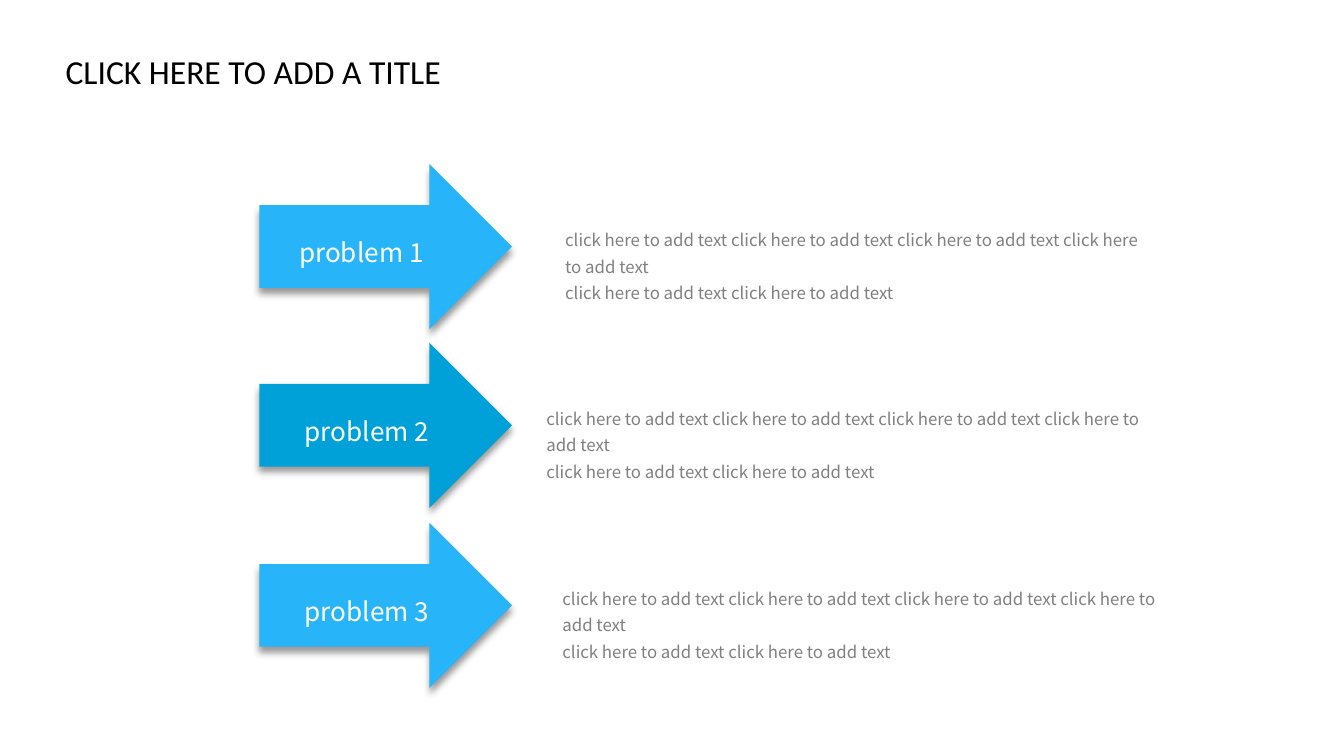
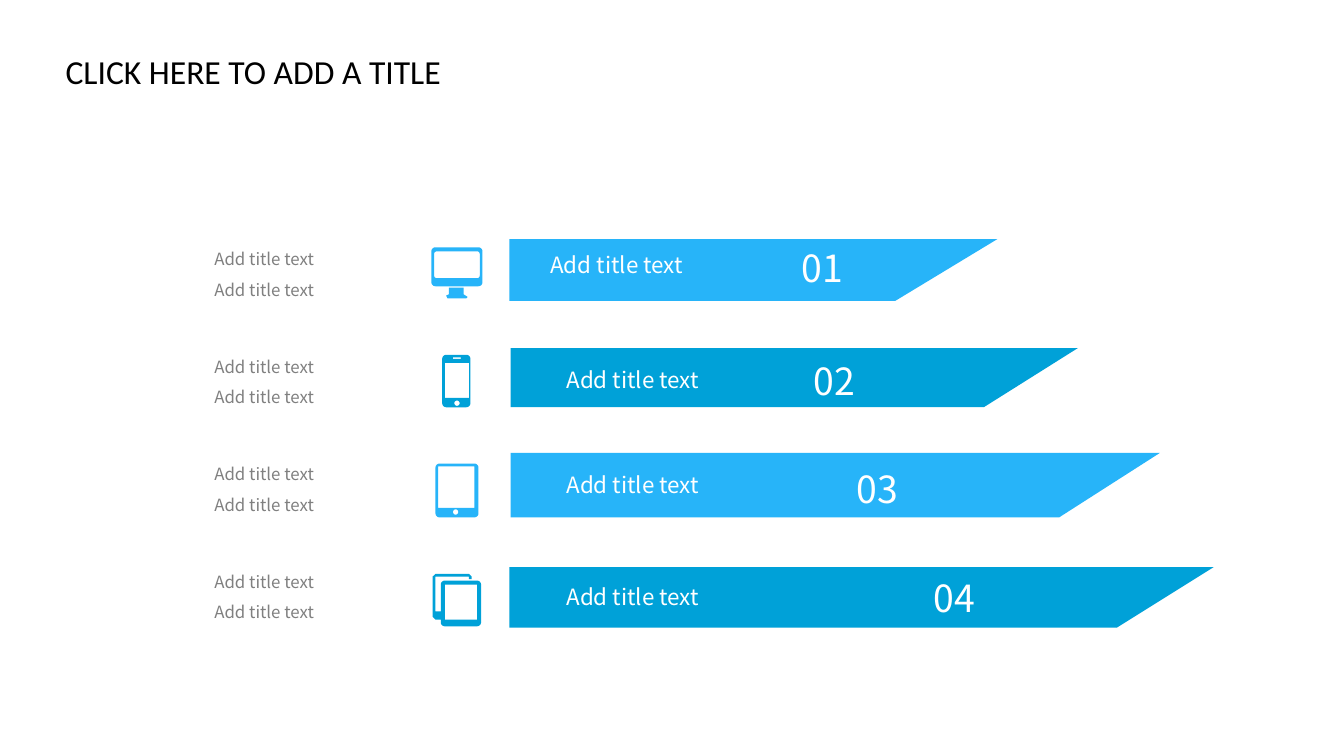
"""Build two slides: three problem arrows and four numbered ribbons with device icons."""
from math import cos, pi, sin

from lxml.etree import SubElement
from pptx import Presentation
from pptx.dml.color import RGBColor
from pptx.enum.shapes import MSO_SHAPE as Shape
from pptx.enum.text import MSO_AUTO_SIZE as AutoSize, PP_ALIGN as Align
from pptx.oxml.ns import qn
from pptx.util import Inches, Pt

COLOURS = {
    "sky": "27B4F9",
    "ocean": "00A1D8",
    "grey": "808080",
    "white": "FFFFFF",
    "black": "000000",
}
BODY_FONT = "Noto Sans CJK SC"
STYLES = {
    "title": {"name": "Calibri", "size": Pt(18), "colour": "black"},
    "problem": {"name": BODY_FONT, "size": Pt(14), "colour": "white"},
    "detail": {"name": BODY_FONT, "size": Pt(9), "colour": "grey"},
    "ribbon": {"name": BODY_FONT, "size": Pt(12), "colour": "white"},
    "number": {"name": BODY_FONT, "size": Pt(20), "colour": "white"},
}
PARAGRAPHS = {
    "problem": {"line_spacing": 1.3},
    "detail": {"line_spacing": 1.3},
    "caption": {"line_spacing": 1.5, "alignment": Align.CENTER},
}
TIGHT_FRAME = {
    "margin_left": Pt(5.4),
    "margin_right": Pt(5.4),
    "margin_top": Pt(2.7),
    "margin_bottom": Pt(2.7),
    "word_wrap": True,
    "auto_size": AutoSize.SHAPE_TO_FIT_TEXT,
}
TITLE_FRAME = {"word_wrap": False, "auto_size": AutoSize.SHAPE_TO_FIT_TEXT}

TITLE = "CLICK HERE TO ADD A TITLE"
PROMPT = "click here to add text"
DETAIL = [" ".join([PROMPT] * 4), " ".join([PROMPT] * 2)]
CAPTION = "Add title text"

PROBLEMS = [
    {"top": 1.22, "colour": "sky", "label_left": 2.15, "detail": (4.13, 4.49)},
    {"top": 2.55, "colour": "ocean", "label_left": 2.19, "detail": (3.99, 4.64)},
    {"top": 3.89, "colour": "sky", "label_left": 2.19, "detail": (4.11, 4.67)},
]
RIBBONS = [
    {"bar": (3.79, 1.78, 2.87, 0.46), "slant": 0.76, "colour": "sky",
     "label": (4.02, 1.83), "number": (5.89, 1.79)},
    {"bar": (3.8, 2.59, 3.52, 0.44), "slant": 0.7, "colour": "ocean",
     "label": (4.14, 2.69), "number": (5.98, 2.63)},
    {"bar": (3.8, 3.37, 4.08, 0.48), "slant": 0.75, "colour": "sky",
     "label": (4.14, 3.47), "number": (6.3, 3.43)},
    {"bar": (3.79, 4.22, 4.52, 0.45), "slant": 0.72, "colour": "ocean",
     "label": (4.14, 4.3), "number": (6.87, 4.24)},
]


def set_values(target, values):
    """Set each attribute in values on the target."""
    for name, value in values.items():
        setattr(target, name, value)


def paint(shape, colour):
    """Give a shape a plain fill with no line or shadow."""
    shape.shadow.inherit = False
    shape.fill.solid()
    shape.fill.fore_color.rgb = RGBColor.from_string(COLOURS[colour])
    shape.line.fill.background()


def add_text(page, place, lines, style, layout=None, frame_values=TIGHT_FRAME):
    """Add a text box with one paragraph for each line."""
    box = page.shapes.add_textbox(*map(Inches, place))
    frame = box.text_frame
    set_values(frame, frame_values)
    for index, line in enumerate(lines):
        para = frame.add_paragraph() if index else frame.paragraphs[0]
        set_values(para, PARAGRAPHS.get(layout, {}))
        span = para.add_run()
        span.text = line
        fonts = dict(STYLES[style])
        span.font.color.rgb = RGBColor.from_string(COLOURS[fonts.pop("colour")])
        set_values(span.font, fonts)


def add_shadow(shape):
    """Drop a soft shadow straight below a shape."""
    effects = shape.element.spPr.find(qn("a:effectLst"))
    shadow = SubElement(effects, qn("a:outerShdw"), blurRad=str(Pt(4)),
                        dist=str(Pt(3)), dir="5400000", algn="t", rotWithShape="0")
    tint = SubElement(shadow, qn("a:srgbClr"), val=COLOURS["black"])
    SubElement(tint, qn("a:alpha"), val="40000")


def add_arrow(page, top, colour):
    """Add a block arrow pointing right."""
    arrow = page.shapes.add_shape(
        Shape.RIGHT_ARROW, *map(Inches, (1.93, top, 1.88, 1.23)))
    paint(arrow, colour)
    add_shadow(arrow)


def add_ribbon(page, bar, slant, colour):
    """Group a bar with the slanted tip at its right end."""
    left, top, width, height = bar
    tip_left = left + width + (slant - height) / 2
    tip_top = top + (height - slant) / 2
    group = page.shapes.add_group_shape()
    body = group.shapes.add_shape(Shape.RECTANGLE, *map(Inches, bar))
    tip = group.shapes.add_shape(
        Shape.RIGHT_TRIANGLE, *map(Inches, (tip_left, tip_top, height, slant)))
    tip.rotation = 90
    for part in (body, tip):
        paint(part, colour)


def rounded(left, top, width, height, radius=0.0):
    """Return the outline of a rectangle with rounded corners."""
    if not radius:
        return [(left, top), (left + width, top),
                (left + width, top + height), (left, top + height)]
    near_x, far_x = left + radius, left + width - radius
    near_y, far_y = top + radius, top + height - radius
    corners = [(far_x, far_y), (near_x, far_y), (near_x, near_y), (far_x, near_y)]
    return [(x + radius * cos(turn * pi / 12), y + radius * sin(turn * pi / 12))
            for quarter, (x, y) in enumerate(corners)
            for turn in range(quarter * 6, quarter * 6 + 7)]


def add_icon(page, outlines, colour):
    """Draw outlines as one shape, inner outlines being holes."""
    contours = [[(Inches(x), Inches(y)) for x, y in outline] for outline in outlines]
    builder = page.shapes.build_freeform(*contours[0][0], scale=1.0)
    for index, contour in enumerate(contours):
        if index:
            builder.move_to(*contour[0])
        builder.add_line_segments(contour[1:], close=True)
    paint(builder.convert_to_shape(), colour)


def device_outlines():
    """Return the outlines of the monitor, phone, tablet and stacked tablets."""
    stand = [(3.34, 2.14), (3.45, 2.14), (3.45, 2.19), (3.48, 2.21),
             (3.47, 2.22), (3.33, 2.22), (3.32, 2.2), (3.34, 2.19)]
    back_tablet = [(3.51, 4.31), (3.51, 4.29), (3.49, 4.27), (3.24, 4.27),
                   (3.22, 4.29), (3.22, 4.59), (3.24, 4.61), (3.28, 4.61),
                   (3.28, 4.55), (3.24, 4.55), (3.24, 4.29), (3.49, 4.29),
                   (3.49, 4.31)]
    monitor = [rounded(3.21, 1.84, 0.38, 0.29, 0.03),
               rounded(3.23, 1.87, 0.34, 0.2, 0.02), stand]
    phone = [rounded(3.29, 2.64, 0.21, 0.39, 0.03), rounded(3.31, 2.7, 0.18, 0.26),
             rounded(3.37, 2.66, 0.06, 0.01), rounded(3.38, 2.98, 0.04, 0.04, 0.02)]
    tablet = [rounded(3.24, 3.45, 0.32, 0.4, 0.03), rounded(3.26, 3.47, 0.27, 0.31),
              rounded(3.37, 3.79, 0.04, 0.04, 0.02)]
    stack = [rounded(3.28, 4.32, 0.3, 0.34, 0.03),
             rounded(3.31, 4.35, 0.24, 0.26), back_tablet]
    return [monitor, phone, tablet, stack]


def add_page(deck):
    """Add a blank page with the shared title."""
    page = deck.slides.add_slide(deck.slide_layouts[6])
    add_text(page, (0.39, 0.33, 3.03, 0.4), [TITLE], "title", frame_values=TITLE_FRAME)
    return page


def build_problems(deck):
    """Build the page of problem arrows."""
    page = add_page(deck)
    for number, problem in enumerate(PROBLEMS, 1):
        top = problem["top"]
        left, width = problem["detail"]
        add_arrow(page, top, problem["colour"])
        add_text(page, (problem["label_left"], top + 0.43, 1.59, 0.35),
                 [f"problem {number}"], "problem", "problem")
        add_text(page, (left, top + 0.41, width, 0.84), DETAIL, "detail", "detail")


def build_ribbons(deck):
    """Build the page of numbered ribbons."""
    page = add_page(deck)
    for index, (ribbon, outlines) in enumerate(zip(RIBBONS, device_outlines())):
        add_ribbon(page, ribbon["bar"], ribbon["slant"], ribbon["colour"])
        add_text(page, (*ribbon["number"], 0.78, 0.41), [f"{index + 1:02}"], "number")
        add_text(page, (*ribbon["label"], 2, 0.28), [CAPTION], "ribbon")
        add_icon(page, outlines, ribbon["colour"])
        add_text(page, (0.93, 1.74 + 0.8 * index, 2.07, 0.5),
                 [CAPTION] * 2, "detail", "caption")


def main():
    """Build and save the deck."""
    deck = Presentation()
    deck.slide_width = Inches(10)
    deck.slide_height = Inches(10 * 9 / 16)
    build_problems(deck)
    build_ribbons(deck)
    deck.save("out.pptx")


if __name__ == "__main__":
    main()
